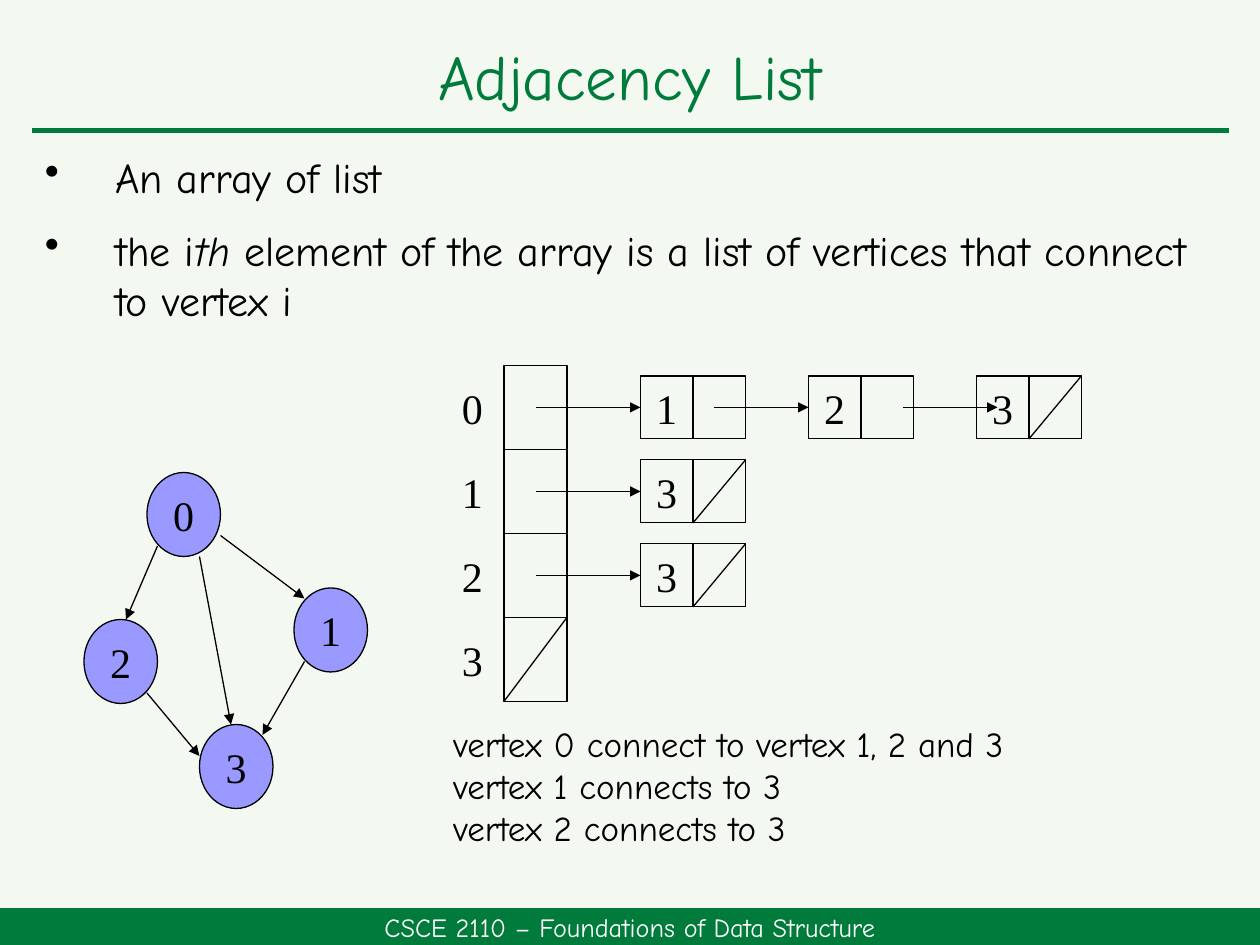
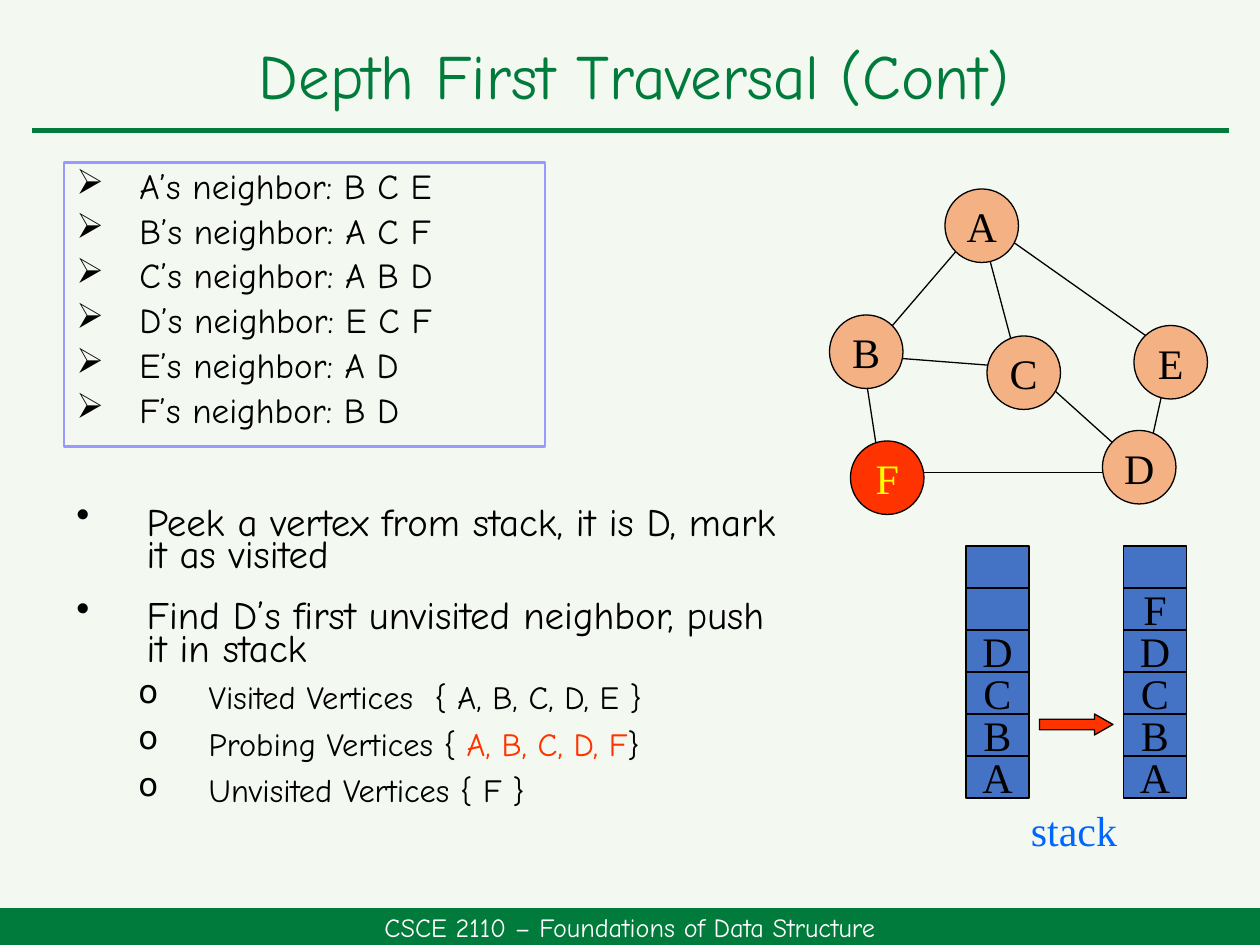
"""Builds two lecture slides on graphs: adjacency lists and depth first traversal."""
from lxml.etree import SubElement
from pptx import Presentation
from pptx.dml.color import RGBColor
from pptx.enum.shapes import MSO_CONNECTOR as CONN, MSO_SHAPE as SHAPE
from pptx.enum.text import MSO_ANCHOR as ANCHOR, MSO_AUTO_SIZE as AUTO, PP_ALIGN as ALIGN
from pptx.oxml.ns import qn
from pptx.util import Pt

PX = 7620
COLORS = {
    "background": "F3F9F0", "green": "007B3B", "white": "FFFFFF", "black": "000000",
    "lilac": "9999FF", "peach": "F4B183", "red": "FF3300", "yellow": "FFFF00",
    "blue": "4472C4", "link": "0066FF",
}
SANS, SERIF = "Comic Neue", "Times New Roman"


def px(*lengths):
    """Turn pixel lengths into EMU."""
    return [n * PX for n in lengths]


def rgb(name):
    """Look up a named colour."""
    return RGBColor.from_string(COLORS[name])


def write(tf, text, size=24, font=SANS, color="black", align=ALIGN.LEFT, bullet=None,
          margin=0, hang=0, spacing=None, before=0, after=0):
    """Add a paragraph; text is a string or a list of (string, run format) pairs."""
    first = not tf.paragraphs[0].runs
    p = tf.paragraphs[0] if first else tf.add_paragraph()
    if bullet:
        pPr = p._p.get_or_add_pPr()
        pPr.set("marL", str(margin * PX))
        pPr.set("indent", str(-hang * PX))
        SubElement(pPr, qn("a:buChar"), char=bullet)
    p.alignment = align
    p.space_before, p.space_after = Pt(0 if first else before), Pt(after)
    if spacing:
        p.line_spacing = spacing
    for part, fmt in [(text, {})] if isinstance(text, str) else text:
        r = p.add_run()
        r.text = part
        r.font.name, r.font.size = font, Pt(size)
        r.font.italic = fmt.get("italic", False)
        r.font.color.rgb = rgb(fmt.get("color", color))


def add_box(s, *box):
    """Add a wrapping text box and return its text frame."""
    tf = s.shapes.add_textbox(*px(*box)).text_frame
    tf.word_wrap = True
    return tf


def add_shape(s, kind, *box, fill=None, line="black", width=0.75):
    """Add a preset shape with flat fill and outline."""
    sp = s.shapes.add_shape(kind, *px(*box))
    sp.shadow.inherit = False
    if fill:
        sp.fill.solid()
        sp.fill.fore_color.rgb = rgb(fill)
    else:
        sp.fill.background()
    if line:
        sp.line.color.rgb = rgb(line)
        sp.line.width = Pt(width)
    else:
        sp.line.fill.background()
    return sp


def add_label(s, kind, text, *box, color="black", size=24, font=SERIF, **paint):
    """Add a shape with text in its centre."""
    sp = add_shape(s, kind, *box, **paint)
    tf = sp.text_frame
    tf.margin_left = tf.margin_right = tf.margin_top = tf.margin_bottom = 0
    tf.vertical_anchor = ANCHOR.MIDDLE
    if text:
        write(tf, text, size=size, font=font, color=color, align=ALIGN.CENTER)


def add_line(s, x1, y1, x2, y2, arrow=False, color="black", width=0.75):
    """Add a straight line, with an arrowhead at its end if wanted."""
    c = s.shapes.add_connector(CONN.STRAIGHT, *px(x1, y1, x2, y2))
    c.line.color.rgb = rgb(color)
    c.line.width = Pt(width)
    if arrow:
        SubElement(c.line._get_or_add_ln(), qn("a:tailEnd"), type="triangle")
    SubElement(c._element.spPr, qn("a:effectLst"))


def add_slide(prs, title, *box):
    """Add a slide with its title, rule and footer band."""
    s = prs.slides.add_slide(prs.slide_layouts[5])
    sp = s.shapes.title
    sp.left, sp.top, sp.width, sp.height = px(*box)
    tf = sp.text_frame
    tf.auto_size, tf.vertical_anchor = AUTO.NONE, ANCHOR.MIDDLE
    write(tf, title, size=36, color="green", align=ALIGN.CENTER, spacing=0.9)
    add_line(s, 30, 124, 1170, 124, color="green", width=3)
    add_label(s, SHAPE.RECTANGLE, "CSCE 2110 – Foundations of Data Structure", 0, 865, 1200, 35,
              size=15, font=SANS, color="white", fill="green", line=None)
    return s


def add_list_node(s, x, y, value, last):
    """Add a linked list node, struck through in its link cell if it is the last."""
    add_label(s, SHAPE.RECTANGLE, value, x, y, 50, 60)
    add_shape(s, SHAPE.RECTANGLE, x + 50, y, 50, 60)
    if last:
        add_line(s, x + 100, y, x + 50, y + 60)


def add_adjacency_list(s, rows):
    """Add the array of vertices with the linked list of each."""
    for i, values in enumerate(rows):
        y = 348 + 80 * i
        add_label(s, SHAPE.RECTANGLE, str(i), 420, y, 60, 80, line=None)
        add_shape(s, SHAPE.RECTANGLE, 480, y, 60, 80)
        if values:
            add_line(s, 510, y + 40, 610, y + 40, arrow=True)
        else:
            add_line(s, 540, y, 480, y + 80)
        for j, value in enumerate(values):
            add_list_node(s, 610 + 160 * j, y + 10, value, j == len(values) - 1)


def add_stack(s, x, items):
    """Add a stack of six cells, listed from the top."""
    for i, item in enumerate(items.rjust(6)):
        add_label(s, SHAPE.RECTANGLE, item.strip(), x, 520 + 40 * i, 60, 40, fill="blue")


def adjacency_slide(prs):
    """Build the adjacency list slide."""
    s = add_slide(prs, "Adjacency List", 30, 28, 1140, 96)
    tf = add_box(s, 31, 138, 1140, 190)
    for text in ("An array of list",
                 [("the i", {}), ("th", {"italic": True}),
                  (" element of the array is a list of vertices that connect to vertex i", {})]):
        write(tf, text, bullet="•", margin=67, hang=67, before=10, after=3)

    for name, x, y in (("0", 140, 450), ("1", 280, 560), ("2", 80, 590), ("3", 190, 690)):
        add_label(s, SHAPE.OVAL, name, x, y, 70, 80, fill="lilac")
    for edge in ((150, 520, 120, 590), (140, 660, 190, 720), (210, 510, 290, 570),
                 (290, 630, 250, 700), (190, 530, 220, 690)):
        add_line(s, *edge, arrow=True)

    add_adjacency_list(s, ("123", "3", "3", ""))
    add_line(s, 680, 388, 770, 388, arrow=True)
    add_line(s, 860, 388, 950, 388, arrow=True)

    tf = add_box(s, 420, 682, 750, 133)
    for text in ("vertex 0 connect to vertex 1, 2 and 3", "vertex 1 connects to 3",
                 "vertex 2 connects to 3"):
        write(tf, text, size=20)


def traversal_slide(prs):
    """Build the depth first traversal slide."""
    s = add_slide(prs, "Depth First Traversal (Cont)", 36, 30, 1136, 90)
    tf = add_shape(s, SHAPE.RECTANGLE, 61, 155, 458, 270, line="lilac", width=1.5).text_frame
    tf.vertical_anchor = ANCHOR.TOP
    for name, neighbors in zip("ABCDEF", ("B C E", "A C F", "A B D", "E C F", "A D", "B D")):
        write(tf, f"{name}’s neighbor: {neighbors}", size=20, bullet="➢", margin=60, hang=60,
              spacing=0.9, before=4)

    tf = add_box(s, 61, 480, 708, 300)
    for text in ("Peek a vertex from stack, it is D, mark it as visited",
                 "Find D’s first unvisited neighbor, push it in stack"):
        write(tf, text, size=22.2, bullet="•", margin=67, hang=67, spacing=0.7,
              before=10, after=6)
    for text in ("Visited Vertices  { A, B, C, D, E }",
                 [("Probing Vertices { ", {}), ("A, B, C, D, F", {"color": "red"}), ("}", {})],
                 "Unvisited Vertices { F }"):
        write(tf, text, size=18.5, bullet="o", margin=126, hang=67, spacing=0.7,
              before=5, after=6)

    for edge in ((840, 340, 970, 350), (910, 240, 850, 310), (930, 200, 970, 350),
                 (950, 220, 1120, 340), (820, 330, 840, 460), (1110, 360, 1090, 450),
                 (980, 350, 1080, 440), (860, 450, 1070, 450)):
        add_line(s, *edge)
    for name, x, y in (("A", 900, 180), ("B", 790, 300), ("C", 940, 320), ("E", 1080, 310),
                       ("F", 810, 420), ("D", 1050, 410)):
        fill, color = ("red", "yellow") if name == "F" else ("peach", "black")
        add_label(s, SHAPE.OVAL, name, x, y, 70, 70, fill=fill, color=color)

    add_stack(s, 920, "DCBA")
    add_stack(s, 1070, "FDCBA")
    arrow = add_shape(s, SHAPE.RIGHT_ARROW, 990, 680, 70, 20, fill="red")
    arrow.adjustments[0], arrow.adjustments[1] = 0.5, 0.88
    write(add_box(s, 970, 760, 110, 60), "stack", font=SERIF, color="link")


def main():
    """Build and save the presentation."""
    prs = Presentation()
    prs.slide_width, prs.slide_height = px(1200, 900)
    fill = prs.slide_master.background.fill
    fill.solid()
    fill.fore_color.rgb = rgb("background")
    adjacency_slide(prs)
    traversal_slide(prs)
    prs.save("out.pptx")


if __name__ == "__main__":
    main()
